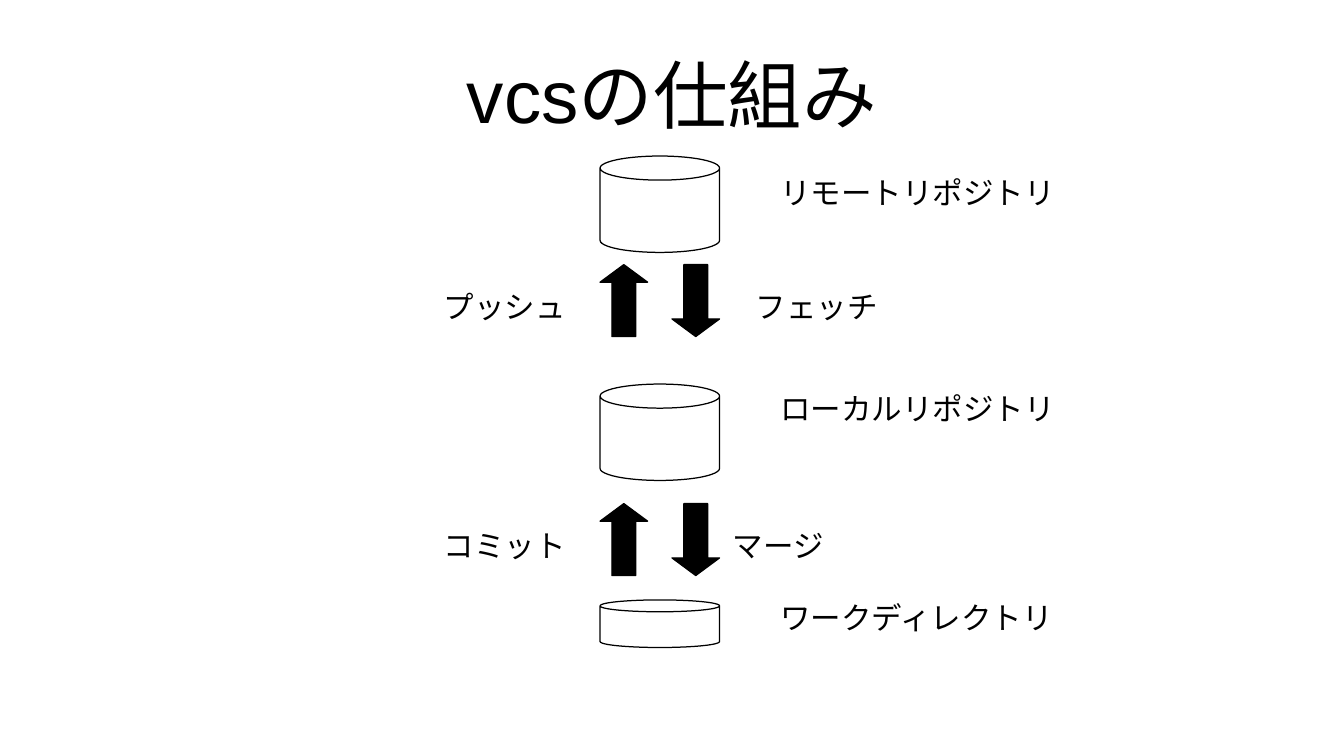
from dataclasses import dataclass

from pptx import Presentation
from pptx.dml.color import RGBColor
from pptx.enum.shapes import MSO_SHAPE
from pptx.enum.text import MSO_ANCHOR, PP_ALIGN
from pptx.util import Inches, Pt

CYLINDER = MSO_SHAPE.CAN
UP_ARROW = MSO_SHAPE.UP_ARROW
DOWN_ARROW = MSO_SHAPE.DOWN_ARROW
TOP, MIDDLE = MSO_ANCHOR.TOP, MSO_ANCHOR.MIDDLE
LEFT, CENTER = PP_ALIGN.LEFT, PP_ALIGN.CENTER


@dataclass(frozen=True)
class Theme:
    """Colours, font and type sizes of the slide."""
    ink: RGBColor = RGBColor(0, 0, 0)
    paper: RGBColor = RGBColor(255, 255, 255)
    font: str = "Arial"
    title_size: int = 44
    label_size: int = 18


class SlideBuilder:
    """Draws styled elements on one slide."""

    def __init__(self, slide, theme):
        """Keep the slide and its theme."""
        self.slide = slide
        self.theme = theme

    def text(self, words, left, top, width, height, size,
             align=LEFT, anchor=TOP, insets=(0.1, 0.05)):
        """Add a wrapped text box with one paragraph."""
        box = self.slide.shapes.add_textbox(
            Inches(left), Inches(top), Inches(width), Inches(height))
        frame = box.text_frame
        frame.word_wrap = True
        frame.vertical_anchor = anchor
        frame.margin_left = frame.margin_right = Inches(insets[0])
        frame.margin_top = frame.margin_bottom = Inches(insets[1])
        paragraph = frame.paragraphs[0]
        paragraph.text = words
        paragraph.alignment = align
        paragraph.font.name = self.theme.font
        paragraph.font.size = Pt(size)
        paragraph.font.color.rgb = self.theme.ink

    def title(self, words):
        """Add the centred slide title."""
        self.text(words, 0.55, 0.25, 9.92, 1.04, self.theme.title_size,
                  CENTER, MIDDLE, (0, 0))

    def label(self, words, left, top, width, height):
        """Add a label in the small type size."""
        self.text(words, left, top, width, height, self.theme.label_size)

    def shape(self, kind, left, top, width, height, fill, adjustments):
        """Add a preset shape with a hairline outline."""
        shape = self.slide.shapes.add_shape(
            kind, Inches(left), Inches(top), Inches(width), Inches(height))
        shape.shadow.inherit = False
        for index, value in enumerate(adjustments):
            shape.adjustments[index] = value
        shape.fill.solid()
        shape.fill.fore_color.rgb = fill
        shape.line.color.rgb = self.theme.ink
        shape.line.width = Pt(0)

    def store(self, words, top, height, label_top):
        """Add a storage cylinder and the name beside it."""
        self.shape(CYLINDER, STORE_LEFT, top, STORE_WIDTH, height,
                   self.theme.paper, [0.25])
        self.label(words, 6.3, label_top, 2.56, 0.65)

    def arrow(self, kind, left, top):
        """Add a solid block arrow."""
        self.shape(kind, left, top, ARROW_WIDTH, 0.59, self.theme.ink, [0.5, 0.37])

    def exchange(self, up_words, down_words, top, down_label_left):
        """Add an up and a down arrow with their labels."""
        self.arrow(UP_ARROW, STORE_LEFT, top)
        self.arrow(DOWN_ARROW, STORE_LEFT + STORE_WIDTH - ARROW_WIDTH, top)
        for words, left in ((up_words, 3.54), (down_words, down_label_left)):
            self.label(words, left, top + 0.14, 1.38, 0.45)


STORE_LEFT, STORE_WIDTH, ARROW_WIDTH = 4.92, 0.98, 0.39
STORES = [
    ("リモートリポジトリ", 1.28, 0.79, 1.38),
    ("ローカルリポジトリ", 3.15, 0.79, 3.15),
    ("ワークディレクトリ", 4.92, 0.39, 4.86),
]
EXCHANGES = [
    ("プッシュ", "フェッチ", 2.17, 6.1),
    ("コミット", "マージ", 4.13, 5.91),
]


def main():
    """Build and save the presentation."""
    presentation = Presentation()
    presentation.slide_width = Inches(11.02)
    presentation.slide_height = Inches(6.2)
    slide = presentation.slides.add_slide(presentation.slide_layouts[6])
    builder = SlideBuilder(slide, Theme())
    builder.title("vcsの仕組み")
    for exchange in EXCHANGES:
        builder.exchange(*exchange)
    for store in STORES:
        builder.store(*store)
    presentation.save("out.pptx")


main()
